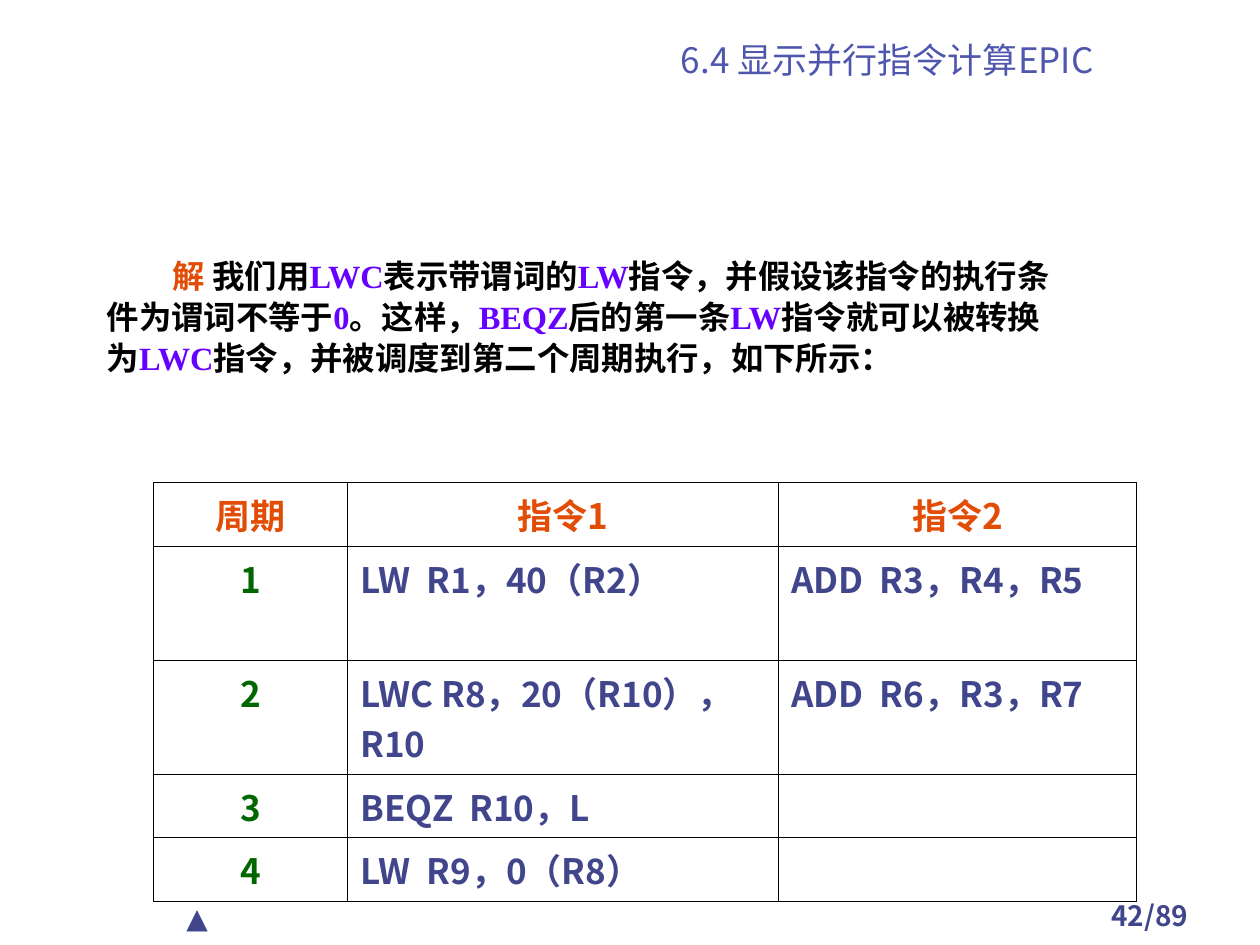
from dataclasses import dataclass

from lxml import etree
from pptx import Presentation
from pptx.dml.color import RGBColor
from pptx.enum.text import MSO_ANCHOR, PP_ALIGN
from pptx.oxml.ns import qn
from pptx.util import Pt

LEFT, CENTER = PP_ALIGN.LEFT, PP_ALIGN.CENTER
TOP, BOTTOM = MSO_ANCHOR.TOP, MSO_ANCHOR.BOTTOM


@dataclass(frozen=True)
class Theme:
    sans: str = "Noto Sans CJK SC"
    serif: str = "Times New Roman"
    symbol: str = "Karla"
    title: str = "4F56AD"
    text: str = "40458C"
    accent: str = "E24C05"
    cycle: str = "006600"
    code: str = "6600FF"
    black: str = "000000"
    large: float = 20
    body: float = 18.5
    small: float = 16
    border: float = 0.45


class SlideBuilder:
    def __init__(self, slide, theme):
        self.slide = slide
        self.theme = theme

    def run(self, paragraph, text, color, size, name, bold=False):
        run = paragraph.add_run()
        run.text = text
        for key, value in {"name": name, "size": Pt(size), "bold": bold}.items():
            setattr(run.font, key, value)
        run.font.color.rgb = RGBColor.from_string(color)
        east_asian = etree.Element(qn("a:ea"), typeface=self.theme.sans)
        run.font._element.find(qn("a:latin")).addnext(east_asian)

    def text_box(self, left, top, width, height, anchor=TOP):
        box = self.slide.shapes.add_textbox(Pt(left), Pt(top), Pt(width), Pt(height))
        frame = box.text_frame
        for key, value in {"word_wrap": True, "vertical_anchor": anchor}.items():
            setattr(frame, key, value)
        return frame

    def label(self, place, text, color, size, name, bold=False, align=CENTER, anchor=TOP):
        paragraph = self.text_box(*place, anchor).paragraphs[0]
        paragraph.alignment = align
        self.run(paragraph, text, color, size, name, bold)

    def body(self, place, lines, first_indent):
        frame = self.text_box(*place)
        for index, line in enumerate(lines):
            paragraph = frame.add_paragraph() if index else frame.paragraphs[0]
            paragraph.line_spacing = 0.85
            if index:
                paragraph.space_before = Pt(4.6)
            else:
                paragraph._p.get_or_add_pPr().set("indent", str(Pt(first_indent)))
            for text, color in line:
                self.run(paragraph, text, color, self.theme.body, self.theme.serif, True)

    def cell_borders(self, cell):
        properties = cell._tc.get_or_add_tcPr()
        for side in ("lnL", "lnR", "lnT", "lnB"):
            line = etree.SubElement(properties, qn(f"a:{side}"), w=str(Pt(self.theme.border)))
            fill = etree.SubElement(line, qn("a:solidFill"))
            etree.SubElement(fill, qn("a:srgbClr"), val=self.theme.black)

    def table(self, left, top, widths, heights, rows):
        frame = self.slide.shapes.add_table(
            len(heights), len(widths), Pt(left), Pt(top), Pt(sum(widths)), Pt(sum(heights)))
        table = frame.table
        for key in ("first_row", "horz_banding"):
            setattr(table, key, False)
        for column, width in zip(table.columns, widths):
            column.width = Pt(width)
        for row, height in zip(table.rows, heights):
            row.height = Pt(height)
        theme = self.theme
        for r, values in enumerate(rows):
            for c, value in enumerate(values):
                cell = table.cell(r, c)
                self.cell_borders(cell)
                cell.fill.background()
                if not value:
                    continue
                color = theme.accent if r == 0 else theme.cycle if c == 0 else theme.text
                paragraph = cell.text_frame.paragraphs[0]
                paragraph.alignment = CENTER if r == 0 or c == 0 else LEFT
                self.run(paragraph, value, color, theme.large, theme.sans, True)


def main():
    presentation = Presentation()
    presentation.slide_width, presentation.slide_height = Pt(720), Pt(540)
    theme = Theme()
    slide = presentation.slides.add_slide(presentation.slide_layouts[6])
    builder = SlideBuilder(slide, theme)

    builder.label((606, 510, 102, 24), "42/89", theme.text, theme.small, theme.sans, bold=True)
    builder.label((99.5, 511, 102, 26.5), "▲", theme.text, theme.small, theme.symbol, align=LEFT)
    builder.label((306, 19.5, 402, 30), "6.4 显示并行指令计算EPIC", theme.title, theme.large,
                  theme.sans, anchor=BOTTOM)

    black, code = theme.black, theme.code
    explanation = [
        [("解 ", theme.accent), ("我们用", black), ("LWC", code), ("表示带谓词的", black),
         ("LW", code), ("指令，并假设该指令的执行条", black)],
        [("件为谓词不等于", black), ("0", code), ("。这样，", black), ("BEQZ", code),
         ("后的第一条", black), ("LW", code), ("指令就可以被转换", black)],
        [("为", black), ("LWC", code), ("指令，并被调度到第二个周期执行，如下所示：", black)],
    ]
    builder.body((54, 146, 612, 119), explanation, first_indent=37.7)

    schedule = [
        ("周期", "指令1", "指令2"),
        ("1", "LW  R1，40（R2）", "ADD  R3，R4，R5"),
        ("2", "LWC R8，20（R10），R10", "ADD  R6，R3，R7"),
        ("3", "BEQZ  R10，L", ""),
        ("4", "LW  R9，0（R8）", ""),
    ]
    one_line, two_lines = 36.2, 65.2
    builder.table(87.8, 275.8, (111, 246.2, 204.4),
                  (one_line, two_lines, two_lines, one_line, one_line), schedule)

    presentation.save("out.pptx")


if __name__ == "__main__":
    main()
